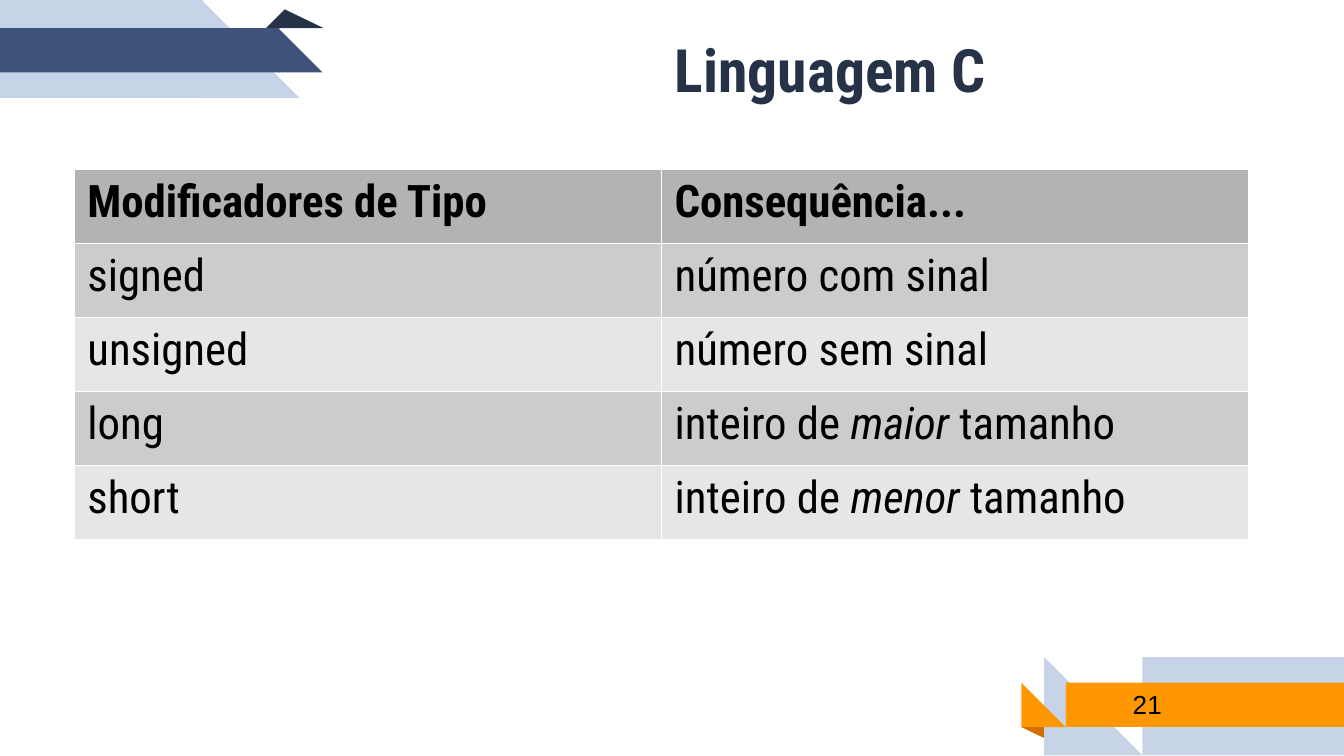
import pptx
import pptx.dml.color
import pptx.enum.shapes
import pptx.enum.text
import pptx.oxml
import pptx.oxml.ns
import pptx.util
from dataclasses import dataclass
from pptx.util import Inches


@dataclass(frozen=True)
class Theme:
    navy: str = "263248"
    blue: str = "3F5378"
    pale: str = "C7D3E6"
    orange: str = "FF9800"
    rust: str = "D26F00"
    black: str = "000000"
    header: str = "B3B3B3"
    bands: tuple = ("CCCCCC", "E6E6E6")
    border: str = "FFFFFF"
    border_width: float = 0.06
    heading_font: str = "Roboto Condensed"
    number_font: str = "Arial"
    title_size: int = 32
    table_size: int = 24
    number_size: int = 14


theme = Theme()


def paint(fill, color):
    fill.solid()
    fill.fore_color.rgb = pptx.dml.color.RGBColor.from_string(color)


def set_font(paragraph, name, size, color, bold=False):
    paragraph.font.name = name
    paragraph.font.size = pptx.util.Pt(size)
    paragraph.font.bold = bold
    paragraph.font.color.rgb = pptx.dml.color.RGBColor.from_string(color)


presentation = pptx.Presentation()
presentation.slide_width = Inches(10)
presentation.slide_height = Inches(10 * 9 / 16)
slide = presentation.slides.add_slide(presentation.slide_layouts[5])

triangle = pptx.enum.shapes.MSO_SHAPE.ISOSCELES_TRIANGLE
rectangle = pptx.enum.shapes.MSO_SHAPE.RECTANGLE
right_triangle = pptx.enum.shapes.MSO_SHAPE.RIGHT_TRIANGLE
ribbons = [
    (triangle, 7.6, 5.41, 0.43, 0.14, theme.rust, 180),
    (rectangle, 8.5, 4.89, 1.5, 0.73, theme.pale, 0),
    (right_triangle, 7.77, 4.89, 0.73, 0.73, theme.pale, 0),
    (rectangle, 7.93, 5.08, 2.08, 0.33, theme.orange, 0),
    (right_triangle, 7.6, 5.08, 0.33, 0.33, theme.orange, 0),
    (triangle, 1.98, 0.07, 0.43, 0.14, theme.navy, 0),
    (rectangle, 0, 0, 1.51, 0.73, theme.pale, 0),
    (right_triangle, 1.5, 0, 0.73, 0.73, theme.pale, 0),
    (rectangle, 0, 0.21, 2.08, 0.33, theme.blue, 0),
    (right_triangle, 2.07, 0.21, 0.33, 0.33, theme.blue, 0),
]
for kind, left, top, width, height, color, rotation in ribbons:
    shape = slide.shapes.add_shape(kind, Inches(left), Inches(top), Inches(width), Inches(height))
    shape.shadow.inherit = False
    shape.line.fill.background()
    shape.rotation = rotation
    paint(shape.fill, color)
    if kind == triangle:
        shape.adjustments[0] = 0.324

title = slide.shapes.title
title.left, title.top, title.width, title.height = Inches(2.36), Inches(0.04), Inches(7.64), Inches(0.94)
title.text_frame.text = "Linguagem C"
title_paragraph = title.text_frame.paragraphs[0]
title_paragraph.alignment = pptx.enum.text.PP_ALIGN.CENTER
set_font(title_paragraph, theme.heading_font, theme.title_size, theme.navy, True)

number = slide.shapes.add_textbox(Inches(8.33), Inches(5.07), Inches(1.63), Inches(0.34))
number.text_frame.text = "21"
set_font(number.text_frame.paragraphs[0], theme.number_font, theme.number_size, theme.black)

for shape in (title, number):
    frame = shape.text_frame
    frame.word_wrap = True
    frame.auto_size = pptx.enum.text.MSO_AUTO_SIZE.NONE
    frame.vertical_anchor = pptx.enum.text.MSO_ANCHOR.MIDDLE
    frame.margin_left = frame.margin_right = frame.margin_top = frame.margin_bottom = Inches(0.1)

rows = [
    (["Modificadores de Tipo"], ["Consequência..."]),
    (["signed"], ["número com sinal"]),
    (["unsigned"], ["número sem sinal"]),
    (["long"], ["inteiro de ", "maior ", "tamanho"]),
    (["short"], ["inteiro de ", "menor ", "tamanho"]),
]
table = slide.shapes.add_table(len(rows), 2, Inches(0.55), Inches(1.26), Inches(8.74), Inches(2.75)).table
for row_index, row in enumerate(rows):
    is_header = row_index == 0
    fill_color = theme.header if is_header else theme.bands[(row_index - 1) % 2]
    for column_index, pieces in enumerate(row):
        cell = table.cell(row_index, column_index)
        cell.margin_left = cell.margin_right = Inches(0.1)
        cell.margin_top = cell.margin_bottom = Inches(0.05)
        paragraph = cell.text_frame.paragraphs[0]
        for piece_index, piece in enumerate(pieces):
            run = paragraph.add_run()
            run.text = piece
            if piece_index == 1:
                run.font.italic = True
        set_font(paragraph, theme.heading_font, theme.table_size, theme.black, is_header)
        properties = cell._tc.get_or_add_tcPr()
        for side in ("lnL", "lnR", "lnT", "lnB"):
            properties.append(pptx.oxml.parse_xml(
                f'<a:{side} {pptx.oxml.ns.nsdecls("a")} w="{pptx.util.Pt(theme.border_width)}">'
                f'<a:solidFill><a:srgbClr val="{theme.border}"/></a:solidFill></a:{side}>'
            ))
        paint(cell.fill, fill_color)

presentation.save("out.pptx")
